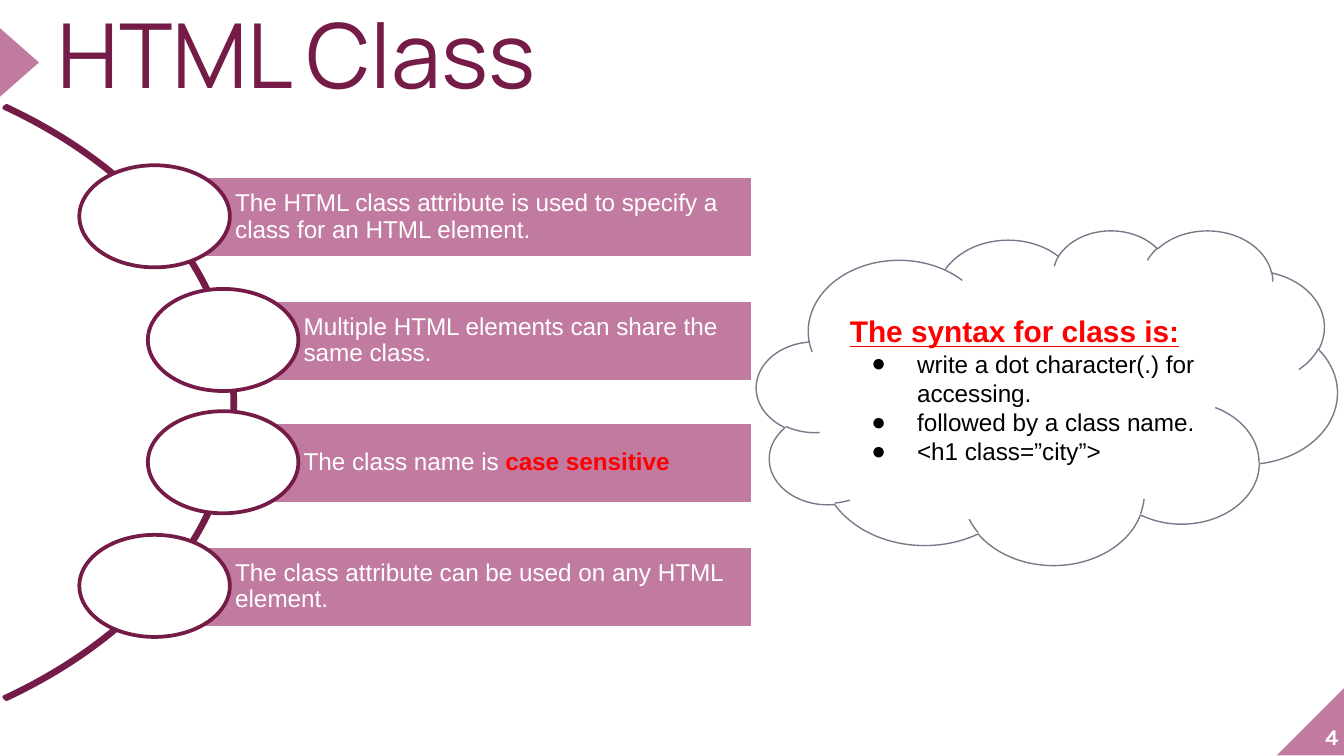
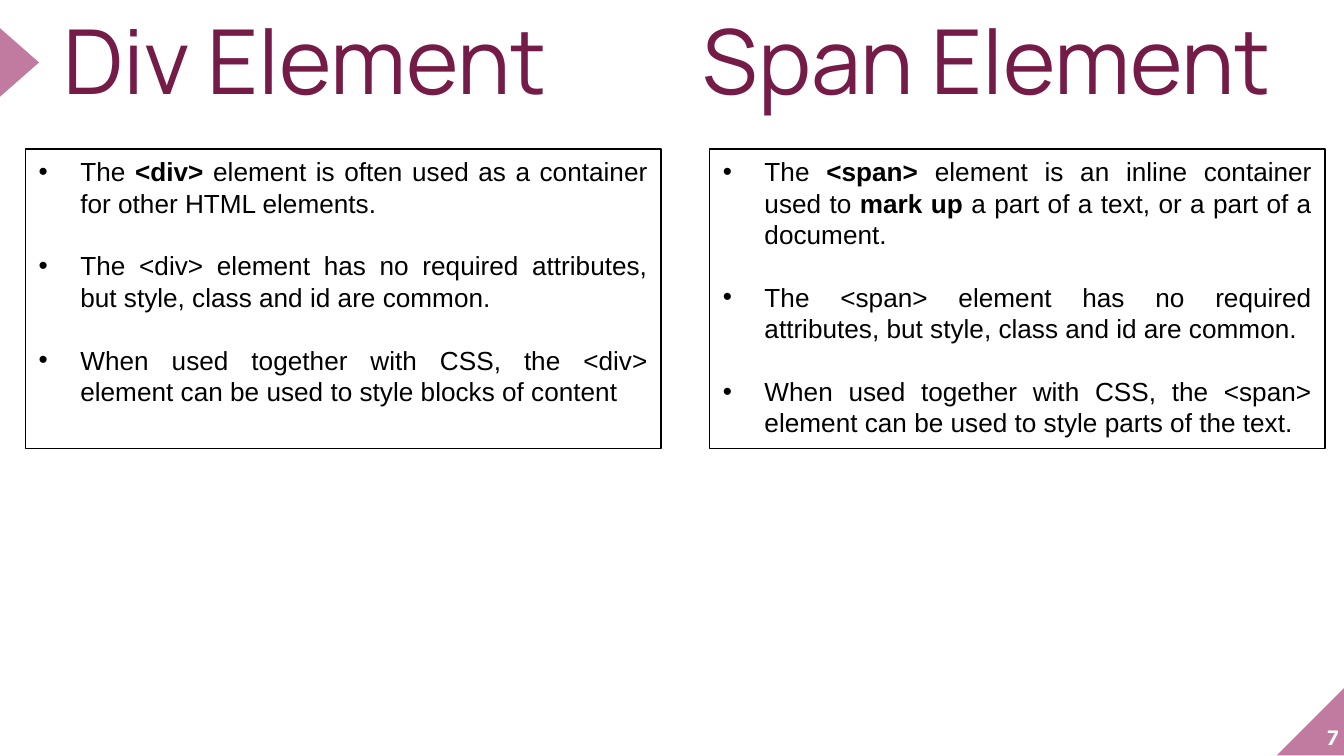
import dataclasses

import pptx
import pptx.dml.color
import pptx.enum.shapes
import pptx.enum.text
import pptx.oxml
import pptx.oxml.ns
import pptx.util

SHAPE = pptx.enum.shapes.MSO_SHAPE
ALIGN = pptx.enum.text.PP_ALIGN
ANCHOR = pptx.enum.text.MSO_ANCHOR
EMU_PER_PX = 9144  # 100 px to the inch


@dataclasses.dataclass(frozen=True)
class Theme:
    plum: str = "741B47"
    mauve: str = "C27BA0"
    white: str = "FFFFFF"
    black: str = "000000"
    red: str = "FF0000"
    slate: str = "757B89"
    title_font: str = "Manrope"
    body_font: str = "Arial"
    number_font: str = "Karla"
    title_size: int = 48
    heading_size: int = 16
    panel_size: int = 14
    body_size: int = 13
    number_size: int = 12
    panel_gap: float = 16.8
    heavy_line: float = 2
    thin_line: float = 0.75


THEME = Theme()


def px(length):
    return pptx.util.Emu(length * EMU_PER_PX)


def rgb(color):
    return pptx.dml.color.RGBColor.from_string(color)


def add_shape(page, kind, place, fill=None, line=None, width=THEME.heavy_line):
    shape = page.shapes.add_shape(kind, *map(px, place))
    shape.shadow.inherit = False
    if fill:
        shape.fill.solid()
        shape.fill.fore_color.rgb = rgb(fill)
    else:
        shape.fill.background()
    if line:
        shape.line.color.rgb = rgb(line)
        shape.line.width = pptx.util.Pt(width)
    else:
        shape.line.fill.background()
    return shape


def set_frame(box, anchor, insets=(0, 0, 0, 0)):
    """Set wrapping, anchor and the left, top, right and bottom insets."""
    frame = box.text_frame
    frame.auto_size = pptx.enum.text.MSO_AUTO_SIZE.NONE
    frame.word_wrap = True
    frame.vertical_anchor = anchor
    (frame.margin_left, frame.margin_top,
     frame.margin_right, frame.margin_bottom) = map(px, insets)
    return frame


def format_span(span, font, size, color, bold=False):
    span.font.name = font
    span.font.size = pptx.util.Pt(size)
    span.font.color.rgb = rgb(color)
    span.font.bold = bold


def write(para, text, size, color, strong=None, align=ALIGN.LEFT):
    """Write body text; parts between ** are bold, in the strong colour."""
    para.alignment = align
    for index, part in enumerate(text.split("**")):
        if part:
            span = para.add_run()
            span.text = part
            bold = index % 2 == 1
            format_span(span, THEME.body_font, size,
                        strong if bold and strong else color, bold)


def add_bullet(para, mark, margin, hanging):
    properties = para._p.get_or_add_pPr()
    properties.set("marL", str(px(margin)))
    properties.set("indent", str(-px(hanging)))
    namespace = pptx.oxml.ns.nsdecls("a")
    for xml in (
        f'<a:buClr {namespace}><a:srgbClr val="{THEME.black}"/></a:buClr>',
        f'<a:buFont {namespace} typeface="{THEME.body_font}"/>',
        f'<a:buChar {namespace} char="{mark}"/>',
    ):
        properties.append(pptx.oxml.parse_xml(xml))


def format_title(box, text, place):
    box.left, box.top, box.width, box.height = map(px, place)
    frame = set_frame(box, ANCHOR.TOP)
    frame.text = text
    para = frame.paragraphs[0]
    para.alignment = ALIGN.LEFT
    para.line_spacing = 0.8
    format_span(para.runs[0], THEME.title_font, THEME.title_size, THEME.plum)


def add_page(deck, number, title, title_place):
    """Add a slide with its title, side marker and numbered corner."""
    page = deck.slides.add_slide(deck.slide_layouts[5])
    corner = add_shape(page, SHAPE.RIGHT_TRIANGLE, (950, 511, 51, 51), THEME.mauve)
    corner.element.spPr.find(pptx.oxml.ns.qn("a:xfrm")).set("flipH", "1")
    marker = add_shape(page, SHAPE.ISOSCELES_TRIANGLE, (-11, 32, 51, 29), THEME.mauve)
    marker.rotation = 90
    box = page.shapes.add_textbox(*map(px, (946, 507, 50, 51)))
    frame = set_frame(box, ANCHOR.BOTTOM)
    frame.text = str(number)
    frame.paragraphs[0].alignment = ALIGN.RIGHT
    format_span(frame.paragraphs[0].runs[0], THEME.number_font,
                THEME.number_size, THEME.white, bold=True)
    format_title(page.shapes.title, title, title_place)
    return page


def add_arc(page):
    arc = add_shape(page, SHAPE.BLOCK_ARC, (-607, 32, 782, 535), line=THEME.plum)
    for index, value in enumerate((189, 27, 0.004)):
        arc.adjustments[index] = value


def add_fact(page, left, top, text):
    """Add a bar of text with an oval over its left end."""
    bar = add_shape(page, SHAPE.RECTANGLE, (left, top, 560 - left, 61),
                    THEME.mauve, THEME.white)
    para = set_frame(bar, ANCHOR.MIDDLE, (60, 4, 0, 4)).paragraphs[0]
    para.line_spacing = 0.9
    write(para, text, THEME.body_size, THEME.white, strong=THEME.red)
    add_shape(page, SHAPE.OVAL, (left - 56, top - 8, 112, 76),
              THEME.white, THEME.plum)


def add_cloud(page, heading, steps):
    cloud = add_shape(page, SHAPE.CLOUD, (563, 171, 432, 249),
                      line=THEME.slate, width=THEME.thin_line)
    frame = set_frame(cloud, ANCHOR.MIDDLE, (10, 10, 10, 10))
    write(frame.paragraphs[0], f"**{heading}**", THEME.heading_size, THEME.red)
    frame.paragraphs[0].runs[0].font.underline = True
    for step in steps:
        para = frame.add_paragraph()
        write(para, step, THEME.body_size, THEME.black)
        add_bullet(para, "●", 50, 34)


def add_panel(page, left, width, points):
    panel = add_shape(page, SHAPE.RECTANGLE, (left, 111, width, 223),
                      line=THEME.black, width=THEME.thin_line)
    frame = set_frame(panel, ANCHOR.TOP, (10, 5, 10, 5))
    for index, point in enumerate(points):
        para = frame.add_paragraph() if index else frame.paragraphs[0]
        para.space_before = pptx.util.Pt(THEME.panel_gap if index else 0)
        write(para, point, THEME.panel_size, THEME.black, align=ALIGN.JUSTIFY)
        add_bullet(para, "•", 31, 31)


def build_class_page(deck):
    page = add_page(deck, 4, "HTML Class", (43, 15, 757, 69))
    add_arc(page)
    facts = (
        (115, "The HTML class attribute is used to specify a class for an HTML element."),
        (166, "Multiple HTML elements can share the same class."),
        (166, "The class name is **case sensitive**"),
        (115, "The class attribute can be used on any HTML element."),
    )
    for row, (left, text) in enumerate(facts):
        add_fact(page, left, round(131 + row * 275 / 3), text)
    add_cloud(page, "The syntax for class is:", (
        "write a dot character(.) for accessing.",
        "followed by a class name.",
        "<h1 class=”city”>",
    ))


def build_element_page(deck):
    page = add_page(deck, 7, "Div Element", (47, 19, 430, 69))
    span_place = (523, 19, 446, 69)
    span_title = page.shapes.add_textbox(*map(px, span_place))
    format_title(span_title, "Span Element", span_place)
    panels = (
        (19, 473, "<div>",
         "is often used as a container for other HTML elements.",
         "blocks of content"),
        (528, 458, "<span>",
         "is an inline container used to **mark up **a part of a text, "
         "or a part of a document.",
         "parts of the text."),
    )
    for left, width, tag, purpose, target in panels:
        add_panel(page, left, width, (
            f"The **{tag}** element {purpose}",
            f"The {tag} element has no required attributes, "
            "but style, class and id are common.",
            f"When used together with CSS, the {tag} element "
            f"can be used to style {target}",
        ))


def main():
    deck = pptx.Presentation()
    deck.slide_width = px(1000)
    deck.slide_height = deck.slide_width * 9 // 16
    build_class_page(deck)
    build_element_page(deck)
    deck.save("out.pptx")


if __name__ == "__main__":
    main()
